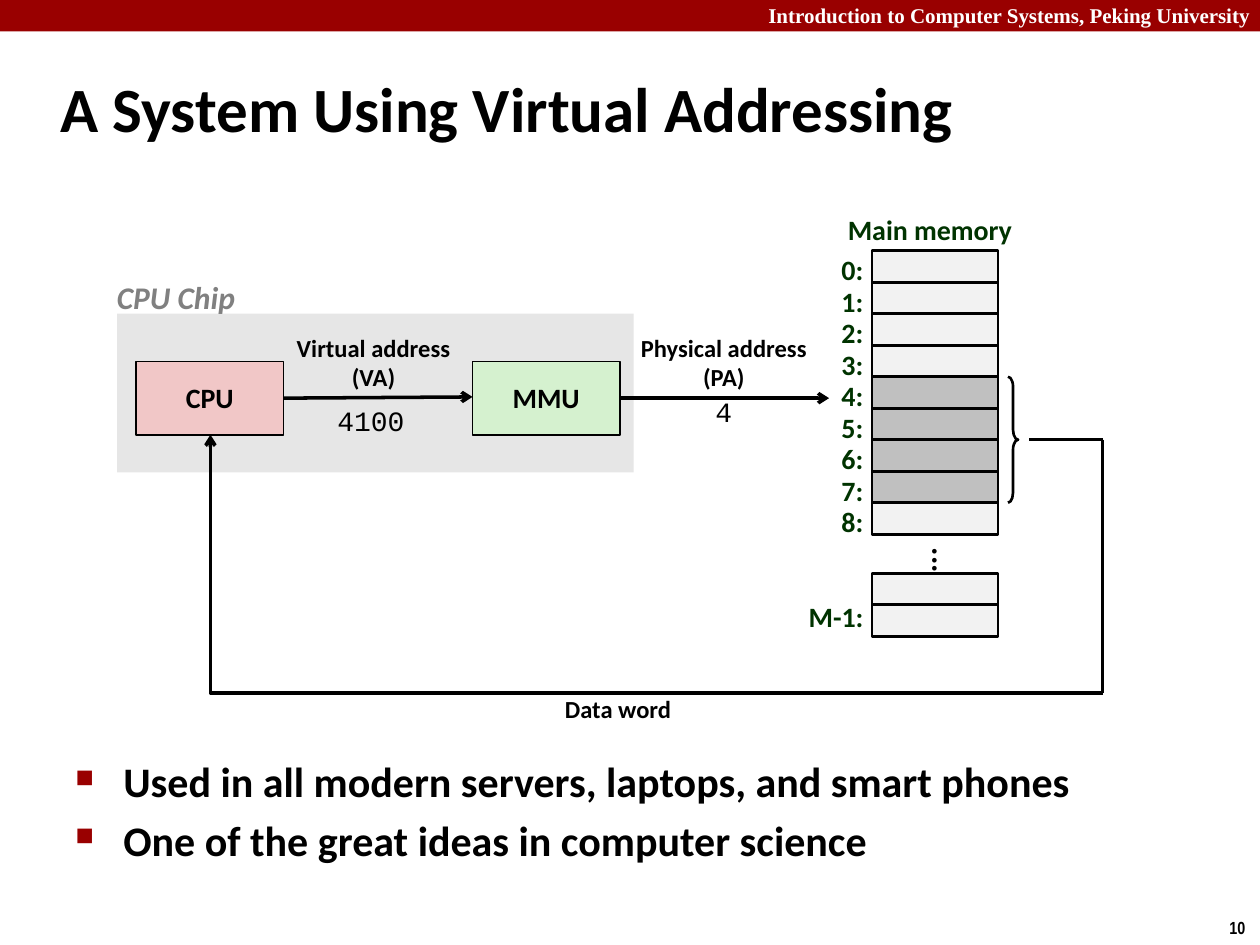
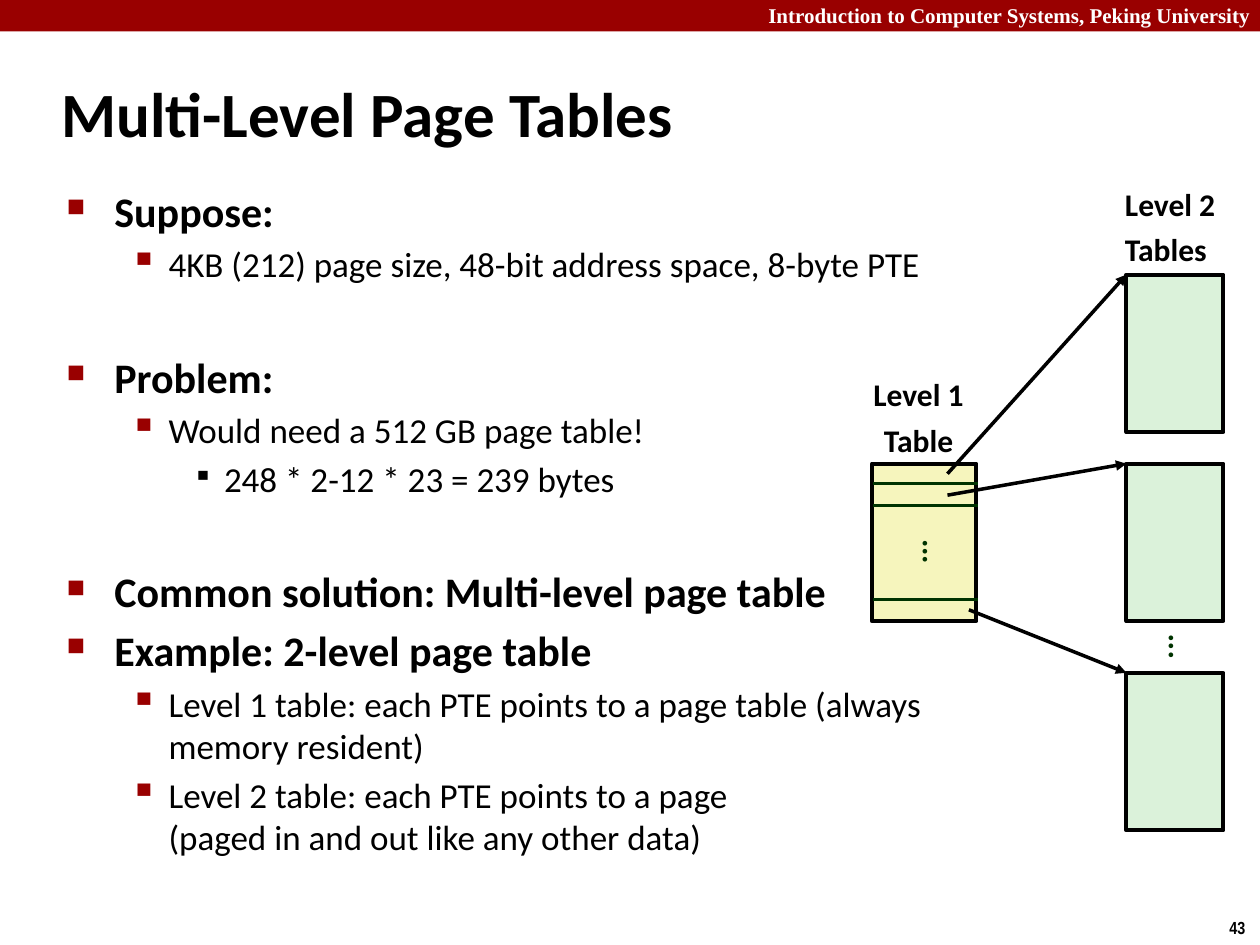
from lxml import etree
from pptx import Presentation
from pptx.dml.color import RGBColor
from pptx.enum.shapes import MSO_CONNECTOR, MSO_SHAPE
from pptx.enum.text import MSO_ANCHOR, MSO_AUTO_SIZE, PP_ALIGN
from pptx.oxml.ns import qn
from pptx.util import Inches, Pt

RECT, BRACE = MSO_SHAPE.RECTANGLE, MSO_SHAPE.RIGHT_BRACE
STRAIGHT = MSO_CONNECTOR.STRAIGHT
LEFT, CENTER = PP_ALIGN.LEFT, PP_ALIGN.CENTER
TOP, MIDDLE = MSO_ANCHOR.TOP, MSO_ANCHOR.MIDDLE
GROW, FIXED = MSO_AUTO_SIZE.SHAPE_TO_FIT_TEXT, MSO_AUTO_SIZE.NONE

BLACK = RGBColor(0x00, 0x00, 0x00)
WHITE = RGBColor(0xFF, 0xFF, 0xFF)
RED = RGBColor(0x99, 0x00, 0x00)
DARK_GREEN = RGBColor(0x00, 0x33, 0x00)
CHIP_GRAY = RGBColor(0xE6, 0xE6, 0xE6)
LABEL_GRAY = RGBColor(0x80, 0x80, 0x80)
CELL = RGBColor(0xF2, 0xF2, 0xF2)
CELL_USED = RGBColor(0xC0, 0xC0, 0xC0)
CPU_PINK = RGBColor(0xF1, 0xC7, 0xC7)
MMU_GREEN = RGBColor(0xD5, 0xF1, 0xCF)
LEVEL1_YELLOW = RGBColor(0xF6, 0xF5, 0xBD)
LEVEL2_GREEN = RGBColor(0xDB, 0xF2, 0xDA)

COURSE = "Introduction to Computer Systems, Peking University"

# level: indent, hanging, size, bold, bullet, bullet percent, bullet colour
LEVELS = [
    (0.38, 0.38, 24, True, "■", 60, RED),
    (0.81, 0.31, 20, False, "▪", 110, RED),
    (1.25, 0.25, 20, False, "▪", 80, BLACK),
]
SECTION_GAP = 38

VIRTUAL_BULLETS = [
    (0, "Used in all modern servers, laptops, and smart phones", None),
    (0, "One of the great ideas in computer science", None),
]
PAGE_TABLE_BULLETS = [
    (0, "Suppose:", None),
    (1, "4KB (2^12^) page size, 48-bit address space, 8-byte PTE", None),
    (0, "Problem:", SECTION_GAP),
    (1, "Would need a 512 GB page table!", None),
    (2, "2^48^ * 2^-12^ * 2^3^ = 2^39^ bytes", None),
    (0, "Common solution: Multi-level page table", SECTION_GAP),
    (0, "Example: 2-level page table", None),
    (1, "Level 1 table: each PTE points to a page table (always memory resident)", None),
    (1, "Level 2 table: each PTE points to a page\v(paged in and out like any other data)", None),
]

MEMORY_X, MEMORY_Y, CELL_W, CELL_H = 6.92, 1.99, 1, 0.25
MEMORY_CELLS = 9
USED_CELLS = range(4, 8)
LAST_CELLS_Y = 4.55

PROCESSORS = [("CPU", 1.08, CPU_PINK), ("MMU", 3.75, MMU_GREEN)]
ADDRESS_LABELS = [
    (["Virtual address", "(VA)"], (2.25, 2.6, 1.43, 0.57)),
    (["Physical address", "(PA)"], (4.98, 2.6, 1.53, 0.57)),
    (["Data word"], (4.38, 5.47, 1.05, 0.33)),
]
ADDRESS_VALUES = [("4100", (2.58, 3.15, 0.74, 0.37)), ("4", (5.58, 3.08, 0.34, 0.37))]
DATA_PATHS = [
    ((2.25, 3.16), (3.75, 3.15), "arrow"),
    ((4.92, 3.16), (6.58, 3.16), "arrow"),
    ((8.17, 3.49), (8.75, 3.49), None),
    ((8.75, 3.49), (8.75, 5.5), None),
]

TABLE_H = 1.25
LEVEL1_X, LEVEL1_Y = 6.92, 3.68
LEVEL2_X = 8.94
ENTRY_LINES = [3.84, 4.01, 4.76]
POINTERS = [((7.52, 3.76), 2.18), ((7.52, 3.93), 3.68), ((7.69, 4.84), 5.34)]


def inches(values):
    return [Inches(v) for v in values]


def style(r, size, color=BLACK, font="Calibri", bold=True, italic=False):
    r.font.size, r.font.name = Pt(size), font
    r.font.bold, r.font.italic = bold, italic
    r.font.color.rgb = color


def write(sp, lines, size, align=LEFT, anchor=TOP, spacing=None, before=0, wrap=False, **look):
    tf = sp.text_frame
    tf.text = "\n".join(lines)
    tf.word_wrap, tf.vertical_anchor = wrap, anchor
    for i, p in enumerate(tf.paragraphs):
        p.alignment = align
        if spacing:
            p.line_spacing = spacing
        if i and before:
            p.space_before = Pt(before)
        for r in p.runs:
            style(r, size, **look)


def label(s, box, lines, size, grow=True, **look):
    sp = s.shapes.add_textbox(*inches(box))
    write(sp, lines, size, **look)
    sp.text_frame.auto_size = GROW if grow else FIXED
    return sp


def shape(s, box, fill=None, line=None, kind=RECT):
    sp = s.shapes.add_shape(kind, *inches(box))
    sp.shadow.inherit = False
    if fill is None:
        sp.fill.background()
    else:
        sp.fill.solid()
        sp.fill.fore_color.rgb = fill
    if line:
        sp.line.color.rgb, sp.line.width = BLACK, Pt(line)
    else:
        sp.line.fill.background()
    return sp


def connect(s, start, end, head=None, color=BLACK, width=2):
    c = s.shapes.add_connector(STRAIGHT, *inches(start + end))
    c.line.color.rgb, c.line.width = color, Pt(width)
    if head:
        etree.SubElement(c.line._get_or_add_ln(), qn("a:tailEnd"), type=head)
    etree.SubElement(c._element.spPr, qn("a:effectLst"))
    return c


def vertical_dots(s, box, color):
    sp = label(s, box, ["..."], 18, grow=False, align=CENTER, anchor=MIDDLE, color=color)
    sp.text_frame._txBody.bodyPr.set("vert", "eaVert")


def set_bullet(p, indent, hanging, char, percent, color):
    pPr = p._p.get_or_add_pPr()
    pPr.set("marL", str(Inches(indent)))
    pPr.set("indent", str(-Inches(hanging)))
    buClr = etree.SubElement(pPr, qn("a:buClr"))
    etree.SubElement(buClr, qn("a:srgbClr"), val=str(color))
    etree.SubElement(pPr, qn("a:buSzPct"), val=str(percent * 1000))
    etree.SubElement(pPr, qn("a:buChar"), char=char)


def bullets(s, box, items):
    tf = s.shapes.add_textbox(*inches(box)).text_frame
    tf.word_wrap = True
    for i, (level, words, gap) in enumerate(items):
        indent, hanging, size, bold, char, percent, color = LEVELS[level]
        p = tf.add_paragraph() if i else tf.paragraphs[0]
        set_bullet(p, indent, hanging, char, percent, color)
        if i:
            p.space_before = Pt(gap or size * 0.2)
        for j, part in enumerate(words.split("^")):
            if j % 2 == 0:
                p.text = part if j == 0 and "\v" in part else p.text
            if "\v" not in part:
                p.add_run().text = part
            if j % 2:
                p.runs[-1]._r.get_or_add_rPr().set("baseline", "30000")
        for r in p.runs:
            style(r, size, bold=bold)


def base_slide(prs, title, title_box, number):
    s = prs.slides.add_slide(prs.slide_layouts[6])
    shape(s, (0, 0, 10, 0.25), RED)
    label(s, (6, -0.03, 4.07, 0.3), [COURSE], 12, wrap=True, color=WHITE, font="Times New Roman")
    label(s, (9.66, 7.23, 0.34, 0.27), [number], 10, font="Arial Narrow")
    label(s, title_box, [title], 36, grow=False, wrap=True, anchor=MIDDLE)
    return s


def memory(s):
    label(s, (6.62, 1.67, 1.52, 0.33), ["Main memory"], 16, align=CENTER, spacing=0.88, color=DARK_GREEN)
    tops = [MEMORY_Y + i * CELL_H for i in range(MEMORY_CELLS)]
    tops += [LAST_CELLS_Y, LAST_CELLS_Y + CELL_H]
    for i, top in enumerate(tops):
        shape(s, (MEMORY_X, top, CELL_W, CELL_H), CELL_USED if i in USED_CELLS else CELL, 1.5)
    names = [(f"{i}:", 6.58, tops[i], 0.37) for i in range(MEMORY_CELLS)]
    names.append(("M-1:", 6.32, 4.74, 0.64))
    for name, left, top, width in names:
        label(s, (left, top, width, 0.33), [name], 16, spacing=0.88, color=DARK_GREEN)
    vertical_dots(s, (7, 4.25, 1, 0.25), BLACK)
    brace = shape(s, (8, tops[USED_CELLS[0]], 0.08, len(USED_CELLS) * CELL_H), line=1.5, kind=BRACE)
    brace.adjustments[0], brace.adjustments[1] = 1, 0.5


def virtual_addressing(prs):
    s = base_slide(prs, "A System Using Virtual Addressing", (0.38, 0.42, 9.53, 0.86), "10")
    shape(s, (0.93, 2.49, 4.1, 1.26), CHIP_GRAY)
    label(s, (0.83, 2.16, 1.16, 0.4), ["CPU Chip"], 18, color=LABEL_GRAY, italic=True)
    bullets(s, (0.5, 5.95, 9.09, 1.38), VIRTUAL_BULLETS)
    memory(s)
    for name, left, fill in PROCESSORS:
        sp = shape(s, (left, 2.87, 1.17, 0.58), fill, 1)
        write(sp, [name], 16, align=CENTER, anchor=MIDDLE, spacing=0.98)
    for lines, box in ADDRESS_LABELS:
        label(s, box, lines, 14, align=CENTER, anchor=MIDDLE, spacing=0.98)
    for value, box in ADDRESS_VALUES:
        label(s, box, [value], 16, font="Courier New", bold=False)
    for start, end, head in DATA_PATHS:
        connect(s, start, end, head)
    data_return = connect(s, (1.67, 3.45), (8.75, 5.5), "arrow")
    spPr = data_return._element.spPr
    spPr.find(qn("a:prstGeom")).set("prst", "bentConnector2")
    spPr.find(qn("a:xfrm")).set("rot", "10800000")


def page_tables(prs):
    s = base_slide(prs, "Multi-Level Page Tables", (0.39, 0.48, 8.3, 0.83), "43")
    bullets(s, (0.43, 1.42, 7.57, 5.44), PAGE_TABLE_BULLETS)
    label(s, (6.83, 2.97, 0.92, 0.73), ["Level 1", "Table"], 18, align=CENTER, spacing=0.88, before=6.8)
    label(s, (8.83, 1.46, 0.92, 0.73), ["Level 2", "Tables"], 18, spacing=0.88, before=6.8)
    shape(s, (LEVEL1_X, LEVEL1_Y, 0.83, TABLE_H), LEVEL1_YELLOW, 2.25)
    for _, top in POINTERS:
        shape(s, (LEVEL2_X, top, 0.77, TABLE_H), LEVEL2_GREEN, 2.25)
    for start, top in POINTERS:
        connect(s, start, (LEVEL2_X, top), "triangle")
    for y in ENTRY_LINES:
        connect(s, (6.93, y), (7.76, y), color=DARK_GREEN, width=1.5)
    vertical_dots(s, (7.19, 4.18, 0.47, 0.3), DARK_GREEN)
    dots = label(s, (9.03, 4.95, 0.4, 0.36), ["..."], 18, spacing=0.88, color=DARK_GREEN)
    dots.rotation = 270


def main():
    prs = Presentation()
    prs.slide_width, prs.slide_height = Inches(10), Inches(7.5)
    virtual_addressing(prs)
    page_tables(prs)
    prs.save("out.pptx")


if __name__ == "__main__":
    main()
